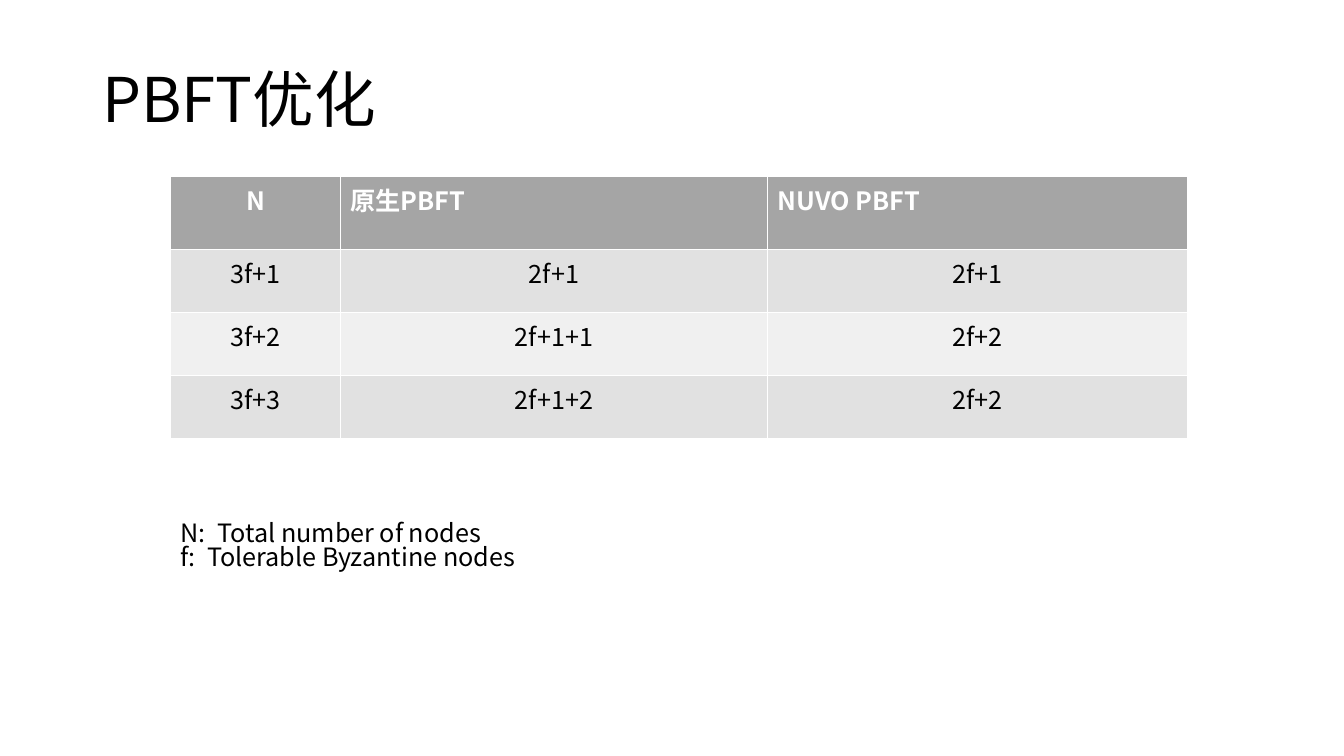
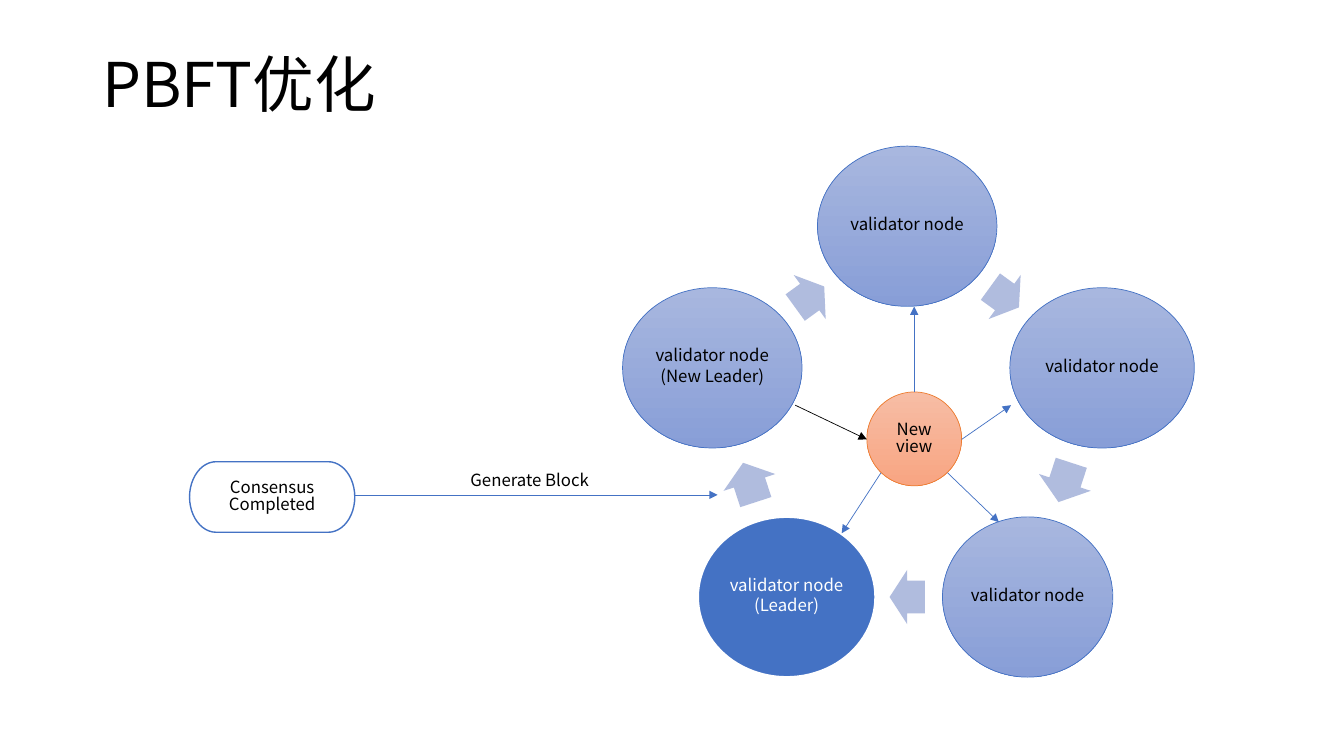
"""Build two slides on PBFT optimisation: a quorum table and a view-change ring."""
import collections
import math

import lxml.etree
import pptx
import pptx.dml.color
import pptx.enum.shapes
import pptx.enum.text
import pptx.oxml.ns
import pptx.util

Pt = pptx.util.Pt
Shape = pptx.enum.shapes.MSO_SHAPE
Align = pptx.enum.text.PP_ALIGN
qn = pptx.oxml.ns.qn
color = pptx.dml.color.RGBColor.from_string

Theme = collections.namedtuple(
    "Theme",
    "font title_size body_size label_size title_spacing text_spacing label_spacing "
    "black white blue orange arrow header bands node_gradient view_gradient",
)
theme = Theme(
    font="Noto Sans CJK SC",
    title_size=44,
    body_size=18,
    label_size=12,
    title_spacing=0.9,
    text_spacing=0.82,
    label_spacing=0.74,
    black=color("000000"),
    white=color("FFFFFF"),
    blue=color("4472C4"),
    orange=color("ED7D31"),
    arrow=color("B0BCDE"),
    header=color("A5A5A5"),
    bands=(color("E1E1E1"), color("F0F0F0")),
    node_gradient=(color("A8B7DF"), color("889ED7")),
    view_gradient=(color("F7BDA5"), color("F8A582")),
)


def write(frame, text, size, ink=theme.black, align=Align.LEFT, spacing=1.0, after=0, bold=False):
    frame.text = text
    frame.word_wrap = True
    for paragraph in frame.paragraphs:
        paragraph.alignment = align
        paragraph.line_spacing = spacing
        paragraph.space_after = Pt(after)
        font = paragraph.font
        font.name = theme.font
        properties = paragraph._p.pPr.find(qn("a:defRPr"))
        lxml.etree.SubElement(properties, qn("a:ea"), typeface=theme.font)
        font.size = Pt(size)
        font.bold = bold
        font.color.rgb = ink


def add_block(slide, kind, left, top, width, height, fill, outline=None, weight=0.5):
    shape = slide.shapes.add_shape(kind, Pt(left), Pt(top), Pt(width), Pt(height))
    shape.shadow.inherit = False
    if isinstance(fill, pptx.dml.color.RGBColor):
        shape.fill.solid()
        shape.fill.fore_color.rgb = fill
    else:
        shape.fill.gradient()
        shape.fill.gradient_angle = 270
        for stop, stop_color in zip(shape.fill.gradient_stops, fill):
            stop.color.rgb = stop_color
    if outline is None:
        shape.line.fill.background()
    else:
        shape.line.color.rgb = outline
        shape.line.width = Pt(weight)
    return shape


presentation = pptx.Presentation()
presentation.slide_width = Pt(960)
presentation.slide_height = Pt(540)

slides = []
for title_height in (88.6, 67):
    slide = presentation.slides.add_slide(presentation.slide_layouts[5])
    title = slide.shapes.title
    title.left, title.top = Pt(66), Pt(28.8)
    title.width, title.height = Pt(828), Pt(title_height)
    write(title.text_frame, "PBFT优化", theme.title_size, spacing=theme.title_spacing)
    title.text_frame.vertical_anchor = pptx.enum.text.MSO_ANCHOR.MIDDLE
    slides.append(slide)
table_slide, ring_slide = slides

quorums = [
    ("N", "原生PBFT", "NUVO PBFT"),
    ("3f+1", "2f+1", "2f+1"),
    ("3f+2", "2f+1+1", "2f+2"),
    ("3f+3", "2f+1+2", "2f+2"),
]
column_widths = (121, 305.5, 300)
row_heights = (52.2, 45, 45, 45)
table = table_slide.shapes.add_table(
    len(quorums), len(column_widths), Pt(122), Pt(126), Pt(sum(column_widths)), Pt(sum(row_heights))
).table
for column, width in zip(table.columns, column_widths):
    column.width = Pt(width)
for row_index, (row, height, texts) in enumerate(zip(table.rows, row_heights, quorums)):
    row.height = Pt(height)
    is_header = row_index == 0
    for column_index, (cell, text) in enumerate(zip(row.cells, texts)):
        cell.fill.solid()
        cell.fill.fore_color.rgb = theme.header if is_header else theme.bands[(row_index - 1) % 2]
        write(
            cell.text_frame,
            text,
            theme.body_size,
            ink=theme.white if is_header else theme.black,
            align=Align.LEFT if is_header and column_index else Align.CENTER,
            bold=is_header,
        )

legend = table_slide.shapes.add_textbox(Pt(122), Pt(369.5), Pt(482), Pt(51))
write(
    legend.text_frame,
    "N:  Total number of nodes\nf:  Tolerable Byzantine nodes",
    theme.body_size,
    spacing=theme.text_spacing,
)

ring_x, ring_y, ring_radius = 648, 308, 146.4
node_height, arrow_width = 114.5, 38.9
step = 360 / 5
nodes = [
    ("validator node", 128.2, 25.2),
    ("validator node", 131.8, 29.5),
    ("validator node", 121.7, 25.2),
    ("validator node\n(Leader)", 126.7, 29.5),
    ("validator node\n(New Leader)", 128.2, 25.6),
]
for index, (label, node_width, arrow_length) in enumerate(nodes):
    angle = math.radians(index * step)
    is_leader = label.endswith("(Leader)")
    node = add_block(
        ring_slide,
        Shape.OVAL,
        ring_x + ring_radius * math.sin(angle) - node_width / 2,
        ring_y - ring_radius * math.cos(angle) - node_height / 2,
        node_width,
        node_height,
        theme.blue if is_leader else theme.node_gradient,
        theme.white if is_leader else theme.blue,
        1.5 if is_leader else 0.5,
    )
    frame = node.text_frame
    frame.margin_left = frame.margin_right = frame.margin_top = frame.margin_bottom = Pt(1.5)
    write(
        frame,
        label,
        theme.label_size,
        ink=theme.white if is_leader else theme.black,
        align=Align.CENTER,
        spacing=theme.label_spacing,
        after=4.2,
    )

    middle = math.radians((index + 0.5) * step)
    arrow_radius = ring_radius * math.cos(math.radians(step / 2))
    arrow = add_block(
        ring_slide,
        Shape.RIGHT_ARROW,
        ring_x + arrow_radius * math.sin(middle) - arrow_length / 2,
        ring_y - arrow_radius * math.cos(middle) - arrow_width / 2,
        arrow_length,
        arrow_width,
        theme.arrow,
    )
    arrow.adjustments[0] = 0.6
    arrow.adjustments[1] = 0.5
    arrow.rotation = (index + 0.5) * step

caption = ring_slide.shapes.add_textbox(Pt(329), Pt(334.8), Pt(138), Pt(21.6))
write(caption.text_frame, "Generate Block", theme.label_size, spacing=theme.text_spacing)

new_view = add_block(
    ring_slide, Shape.FLOWCHART_CONNECTOR, 619.2, 280, 67.7, 67, theme.view_gradient, theme.orange
)
consensus = add_block(
    ring_slide, Shape.FLOWCHART_TERMINATOR, 135.4, 329.8, 118, 50.4, theme.white, theme.blue, 1
)
for shape, label in ((new_view, "New view"), (consensus, "Consensus Completed")):
    write(
        shape.text_frame, label, theme.label_size, align=Align.CENTER, spacing=theme.text_spacing
    )

links = [
    (568, 289.4, 619.2, 313.9, theme.black),
    (253.4, 353.5, 512.6, 353.5, theme.blue),
    (653, 280, 653, 218.9, theme.blue),
    (686.9, 313.9, 722.2, 289.4, theme.blue),
    (629.3, 337.7, 601.2, 380.9, theme.blue),
    (676.8, 337.7, 713.5, 373, theme.blue),
]
for *ends, ink in links:
    connector = ring_slide.shapes.add_connector(
        pptx.enum.shapes.MSO_CONNECTOR.STRAIGHT, *[Pt(value) for value in ends]
    )
    connector.line.color.rgb = ink
    connector.line.width = Pt(0.5)
    properties = connector._element.spPr
    lxml.etree.SubElement(properties.find(qn("a:ln")), qn("a:tailEnd"), type="triangle")
    lxml.etree.SubElement(properties, qn("a:effectLst"))

presentation.save("out.pptx")
